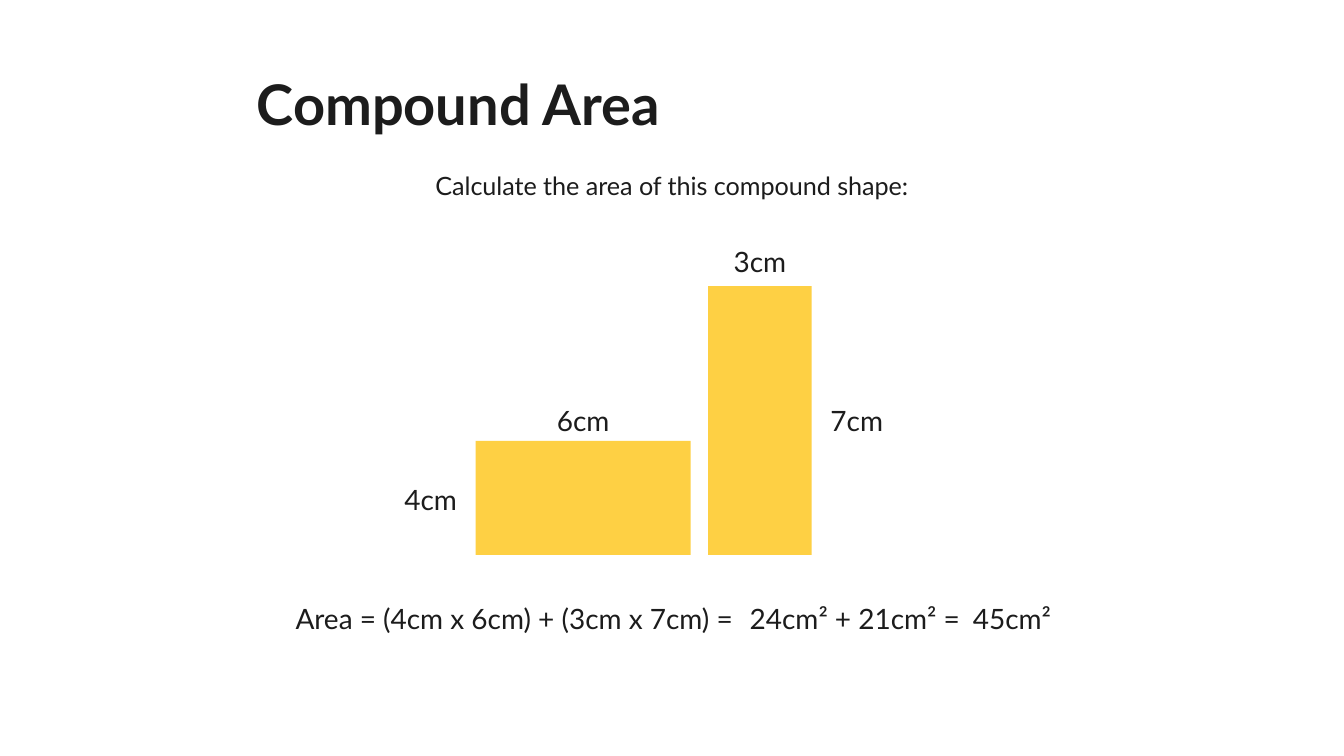
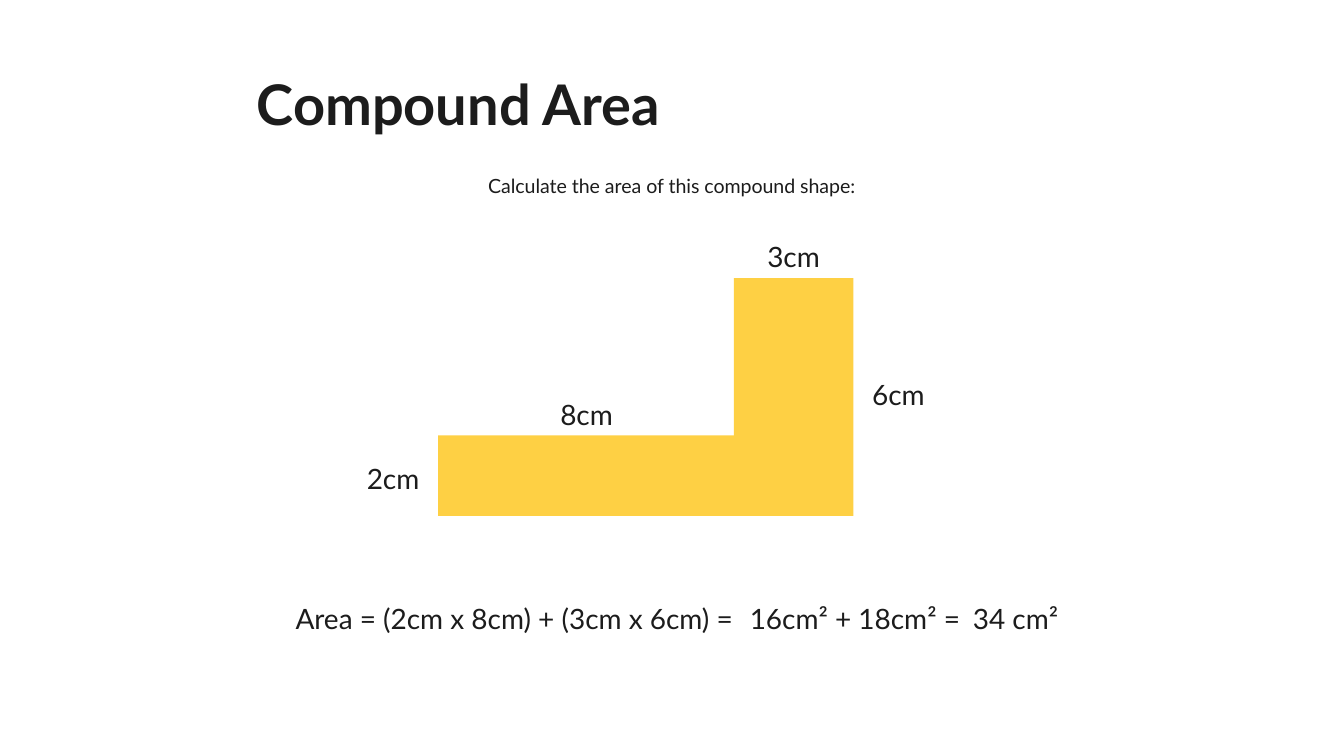
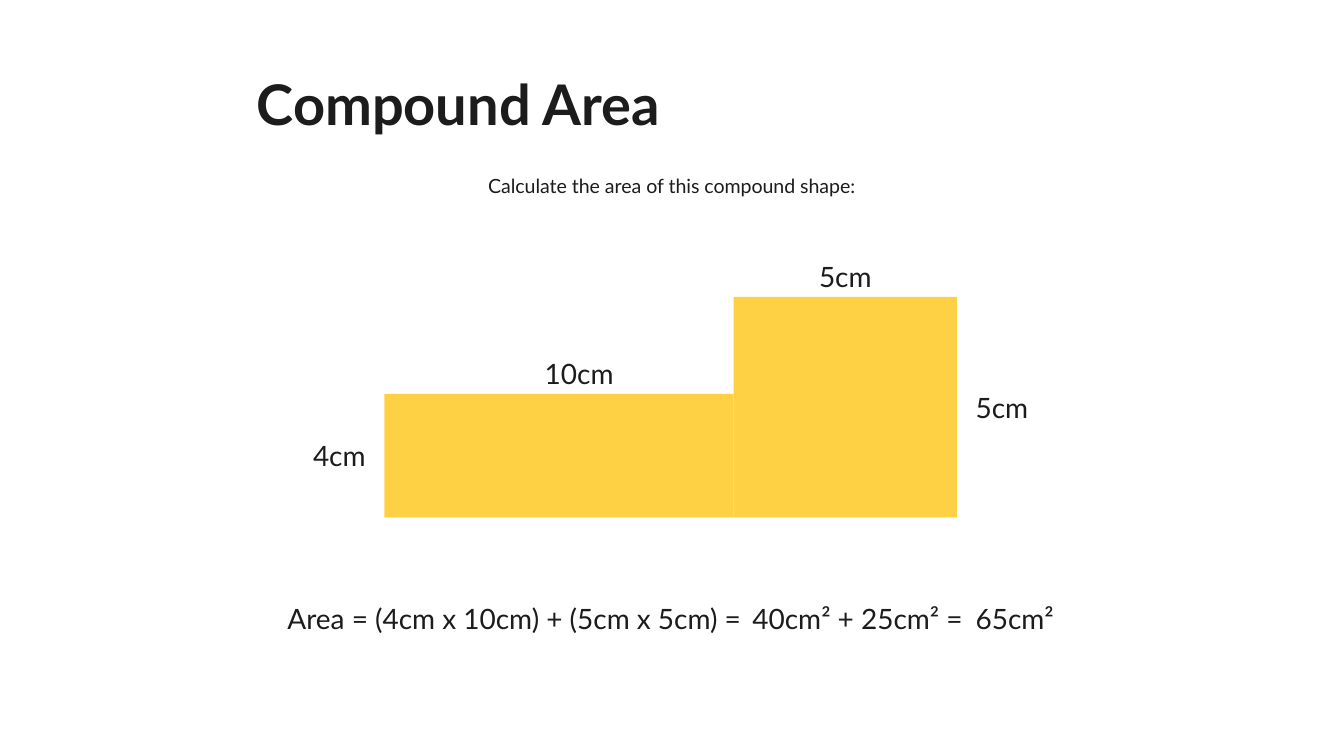
from dataclasses import dataclass

from pptx import Presentation
from pptx.dml.color import RGBColor
from pptx.enum import shapes as sh, text as tx
from pptx.util import Inches, Pt


@dataclass(frozen=True)
class Theme:
    font: str = "Lato"
    ink: RGBColor = RGBColor(0x1C, 0x1C, 0x1C)
    gold: RGBColor = RGBColor(0xFE, 0xD0, 0x44)
    head: float = 30
    body: float = 15


@dataclass(frozen=True)
class Box:
    left: float
    top: float
    width: float
    height: float

    def inches(self) -> tuple:
        return tuple(Inches(v) for v in (self.left, self.top, self.width, self.height))


@dataclass(frozen=True)
class Bar:
    box: Box
    wide: str
    high: str
    lift: float = 0.33
    drop: float = 0
    shift: float = 0
    span: float = 0.67


@dataclass(frozen=True)
class Term:
    left: float
    width: float
    words: str


@dataclass(frozen=True)
class Task:
    size: float
    tall: Bar
    low: Bar
    terms: tuple


THEME = Theme()
WIDE = Inches(10)
HIGH = WIDE * 9 // 16
TITLE = Box(1.63, 0.39, 6.74, 0.82)
PROMPT = Box(1.87, 1.17, 6.26, 0.42)
TERM_TOP, TERM_HIGH = 4.39, 0.42
TAG_WIDE, TAG_HIGH = 0.67, 0.35
LEFT, MID = tx.PP_ALIGN.LEFT, tx.PP_ALIGN.CENTER

TASKS = (
    Task(
        13.5,
        Bar(Box(5.27, 2.13, 0.77, 2), "3cm", "7cm", lift=0.36),
        Bar(Box(3.54, 3.28, 1.6, 0.85), "6cm", "4cm", drop=0.01),
        (
            Term(2.08, 3.52, "Area = (4cm x 6cm) + (3cm x 7cm) ="),
            Term(5.46, 1.86, "24cm² + 21cm² ="),
            Term(7.12, 0.91, "45cm²"),
        ),
    ),
    Task(
        10.5,
        Bar(Box(5.46, 2.07, 0.89, 1.77), "3cm", "6cm", lift=0.34, drop=-0.02),
        Bar(Box(3.26, 3.24, 2.21, 0.6), "8cm", "2cm", drop=0.02),
        (
            Term(2.08, 3.52, "Area = (2cm x 8cm) + (3cm x 6cm) ="),
            Term(5.46, 1.92, "16cm² + 18cm² ="),
            Term(7.12, 1.01, "34 cm²"),
        ),
    ),
    Task(
        10.5,
        Bar(Box(5.46, 2.21, 1.66, 1.64), "5cm", "5cm"),
        Bar(Box(2.86, 2.93, 2.6, 0.92), "10cm", "4cm", shift=0.15, span=0.97),
        (
            Term(2.02, 3.68, "Area = (4cm x 10cm) + (5cm x 5cm) ="),
            Term(5.48, 1.91, "40cm² + 25cm² ="),
            Term(7.14, 0.91, "65cm²"),
        ),
    ),
)


def apply(item, form: dict) -> None:
    for name, value in form.items():
        setattr(item, name, value)


def write(shape, words: str, size: float, align, bold: bool = False) -> None:
    frame = shape.text_frame
    frame.text = words
    apply(frame, {"word_wrap": True, "vertical_anchor": tx.MSO_ANCHOR.MIDDLE})
    line = frame.paragraphs[0]
    line.alignment = align
    font = line.runs[0].font
    apply(font, {"name": THEME.font, "size": Pt(size), "bold": bold})
    font.color.rgb = THEME.ink


def add_title(slide) -> None:
    title = slide.shapes.title
    apply(title, dict(zip(("left", "top", "width", "height"), TITLE.inches())))
    write(title, "Compound Area", THEME.head, LEFT, True)
    frame = title.text_frame
    frame.auto_size = tx.MSO_AUTO_SIZE.NONE
    frame.paragraphs[0].line_spacing = 0.9
    sides = ("left", "top", "right", "bottom")
    apply(frame, {f"margin_{side}": Inches(0.28) for side in sides})


def add_line(slide, box: Box, words: str, size: float, align) -> None:
    shape = slide.shapes.add_shape(sh.MSO_SHAPE.ROUNDED_RECTANGLE, *box.inches())
    shape.shadow.inherit = False
    shape.fill.background()
    shape.line.fill.background()
    write(shape, words, size, align)


def add_block(slide, box: Box) -> None:
    block = slide.shapes.add_shape(sh.MSO_SHAPE.RECTANGLE, *box.inches())
    block.shadow.inherit = False
    block.fill.solid()
    block.fill.fore_color.rgb = THEME.gold
    block.line.fill.background()


def add_tag(slide, left: float, top: float, width: float, words: str) -> None:
    tag = slide.shapes.add_textbox(*Box(left, top, width, TAG_HIGH).inches())
    write(tag, words, THEME.body, MID)


def add_tags(slide, bar: Bar, side: float) -> None:
    box = bar.box
    left = box.left + (box.width - bar.span) / 2 + bar.shift
    add_tag(slide, left, box.top - bar.lift, bar.span, bar.wide)
    top = box.top + (box.height - TAG_HIGH) / 2 + bar.drop
    add_tag(slide, side, top, TAG_WIDE, bar.high)


def add_task(deck, task: Task) -> None:
    slide = deck.slides.add_slide(deck.slide_layouts[5])
    add_title(slide)
    add_line(slide, PROMPT, "Calculate the area of this compound shape:", task.size, MID)
    tall, low = task.tall, task.low
    for bar in (tall, low):
        add_block(slide, bar.box)
    add_tags(slide, low, low.box.left - TAG_WIDE)
    add_tags(slide, tall, tall.box.left + tall.box.width)
    for term in task.terms:
        box = Box(term.left, TERM_TOP, term.width, TERM_HIGH)
        add_line(slide, box, term.words, THEME.body, LEFT)


def main() -> None:
    deck = Presentation()
    apply(deck, {"slide_width": WIDE, "slide_height": HIGH})
    for task in TASKS:
        add_task(deck, task)
    deck.save("out.pptx")


if __name__ == "__main__":
    main()
